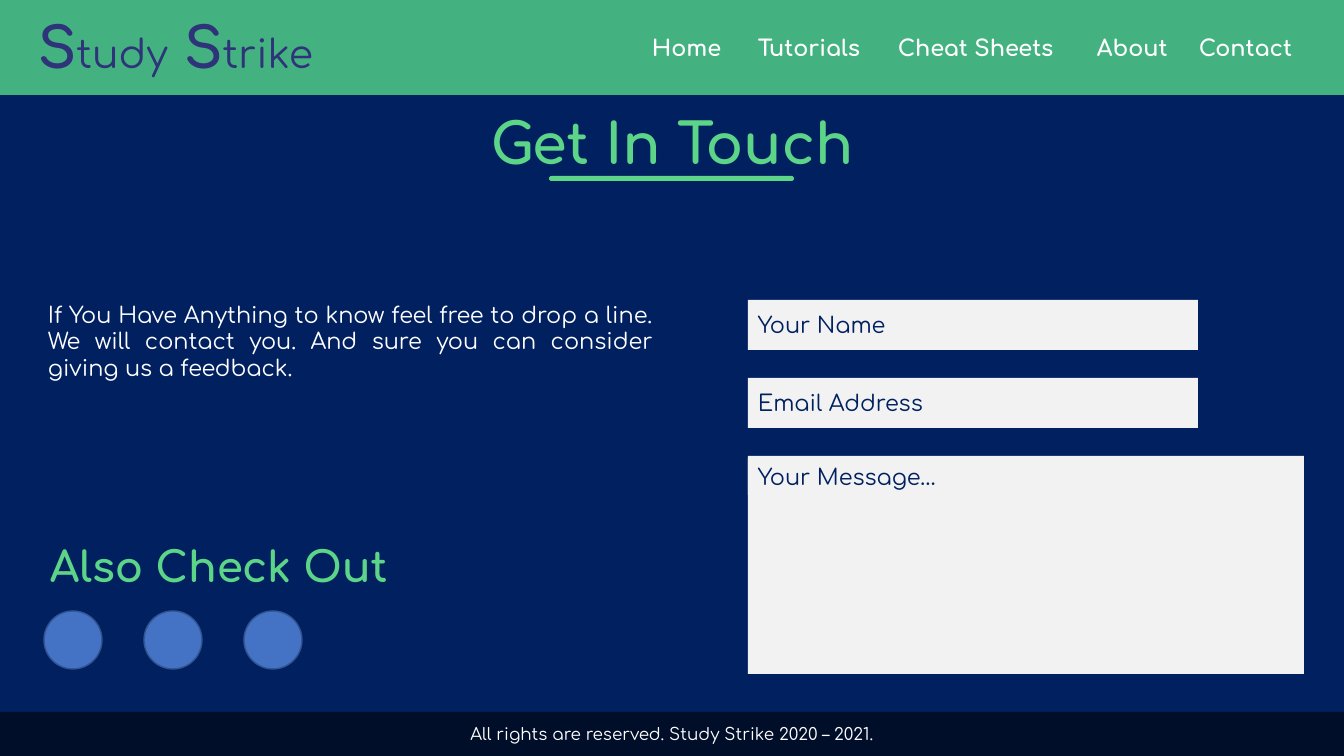
from pptx import Presentation
from pptx.dml.color import RGBColor
from pptx.enum.shapes import MSO_SHAPE
from pptx.enum.text import MSO_ANCHOR, PP_ALIGN
from pptx.util import Emu, Pt

RECT, ROUNDED, OVAL = MSO_SHAPE.RECTANGLE, MSO_SHAPE.ROUNDED_RECTANGLE, MSO_SHAPE.OVAL
TOP, MIDDLE = MSO_ANCHOR.TOP, MSO_ANCHOR.MIDDLE
LEFT, CENTER, JUSTIFY = PP_ALIGN.LEFT, PP_ALIGN.CENTER, PP_ALIGN.JUSTIFY

# Content
FONT = "Comfortaa"
COLORS = {
    "navy": "002060", "green": "44B280", "mint": "5DD588", "indigo": "2F337A",
    "white": "FFFFFF", "field": "F2F2F2", "footer": "000E2A",
    "blue": "4472C4", "blue_edge": "325491",
}
LOGO = [("S", 40, True), ("tudy", 28, False), (" ", 40, False),
        ("S", 40, True), ("trike", 28, False)]
NAV = [("Home", 106), ("Tutorials", 140), ("Cheat Sheets", 199),
       ("About", 102), ("Contact", 127)]  # label, width in px
TITLE = "Get In Touch"
INVITATION = ("If You Have Anything to know feel free to drop a line. "
              "We will contact you. And sure you can consider giving us a feedback.")
FIELDS = ["Your Name", "Email Address"]
MESSAGE = "Your Message…"
SOCIAL_HEADING = "Also Check Out"
SOCIAL_COUNT = 3
FOOTER = "All rights are reserved. Study Strike 2020 – 2021."

# Layout in px
PX = 914400 / 100.8
WIDTH, HEIGHT = 1344, 756
HEADER_HEIGHT, FOOTER_HEIGHT = 95, 44
NAV_LEFT, NAV_TOP, NAV_HEIGHT = 642, 29, 37
FORM_LEFT, FORM_TOP, FIELD_WIDTH, FIELD_HEIGHT, FIELD_STEP = 748, 300, 450, 50, 78
MESSAGE_WIDTH, MESSAGE_HEIGHT = 556, 218
CIRCLE_LEFT, CIRCLE_TOP, CIRCLE_SIZE, CIRCLE_STEP = 44, 611, 58, 100


def emu(*lengths):
    return [Emu(round(length * PX)) for length in lengths]


def rgb(name):
    return RGBColor.from_string(COLORS[name])


def write(shape, runs, color, align=LEFT, anchor=TOP):
    """Fill a shape with one paragraph of (text, size, bold) runs."""
    frame = shape.text_frame
    frame.word_wrap = True
    frame.vertical_anchor = anchor
    para = frame.paragraphs[0]
    para.alignment = align
    for text, size, bold in runs:
        span = para.add_run()
        span.text = text
        span.font.name = FONT
        span.font.size = Pt(size)
        span.font.bold = bold
        span.font.color.rgb = rgb(color)


def add_box(page, kind, place, fill, edge=None):
    shape = page.shapes.add_shape(kind, *emu(*place))
    shape.shadow.inherit = False
    shape.fill.solid()
    shape.fill.fore_color.rgb = rgb(fill)
    if edge:
        shape.line.color.rgb = rgb(edge)
        shape.line.width = Pt(1)
    else:
        shape.line.fill.background()
    return shape


def add_text(page, place, runs, color, align=LEFT, anchor=TOP):
    box = page.shapes.add_textbox(*emu(*place))
    write(box, runs, color, align, anchor)


def main():
    deck = Presentation()
    deck.slide_width, deck.slide_height = emu(WIDTH, HEIGHT)
    page = deck.slides.add_slide(deck.slide_layouts[6])

    # Backdrop and header
    add_box(page, RECT, (0, 0, WIDTH, HEIGHT), "navy")
    add_box(page, RECT, (0, 0, WIDTH, HEADER_HEIGHT), "green")
    add_text(page, (28, 8, 306, 78), LOGO, "indigo")
    left = NAV_LEFT
    for label, width in NAV:
        add_text(page, (left, NAV_TOP, width, NAV_HEIGHT), [(label, 16, True)], "white")
        left += width

    # Title with underline
    add_text(page, (0, 104, WIDTH, 78), [(TITLE, 40, True)], "mint", CENTER)
    underline = add_box(page, ROUNDED, (549, 176, 245, 5), "mint")
    underline.adjustments[0] = 0.5

    # Contact form
    top = FORM_TOP
    for label in FIELDS:
        field = add_box(page, RECT, (FORM_LEFT, top, FIELD_WIDTH, FIELD_HEIGHT), "field")
        write(field, [(label, 16, False)], "navy", anchor=MIDDLE)
        top += FIELD_STEP
    add_box(page, RECT, (FORM_LEFT, top, MESSAGE_WIDTH, MESSAGE_HEIGHT), "field")
    label_box = add_box(page, RECT, (FORM_LEFT, top + 2, 248, 37), "field")
    write(label_box, [(MESSAGE, 16, False)], "navy")

    # Invitation and social links
    add_text(page, (38, 232, 625, 218), [(INVITATION, 16, False)], "white", JUSTIFY, MIDDLE)
    add_text(page, (40, 536, 363, 61), [(SOCIAL_HEADING, 30, True)], "mint")
    for index in range(SOCIAL_COUNT):
        place = (CIRCLE_LEFT + index * CIRCLE_STEP, CIRCLE_TOP, CIRCLE_SIZE, CIRCLE_SIZE)
        add_box(page, OVAL, place, "blue", "blue_edge")

    # Footer
    footer = add_box(page, RECT, (0, HEIGHT - FOOTER_HEIGHT, WIDTH, FOOTER_HEIGHT), "footer")
    write(footer, [(FOOTER, 12, False)], "white", CENTER, MIDDLE)

    deck.save("out.pptx")


if __name__ == "__main__":
    main()
